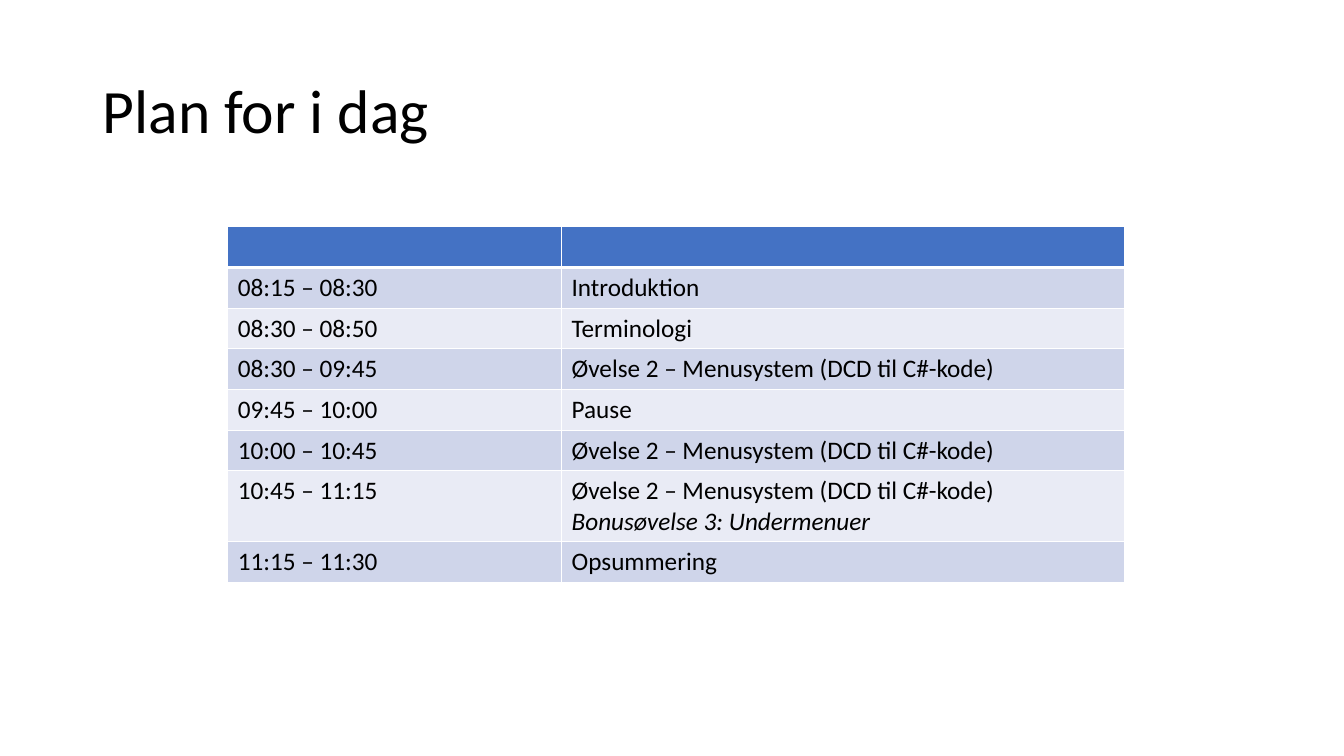
from lxml.etree import SubElement
from pptx import Presentation
from pptx.dml.color import RGBColor
from pptx.enum.text import MSO_ANCHOR
from pptx.oxml.ns import qn
from pptx.util import Inches, Pt

FONT = "Calibri"
BLACK = RGBColor(0x00, 0x00, 0x00)
WHITE = RGBColor(0xFF, 0xFF, 0xFF)
HEADER_BLUE = RGBColor(0x44, 0x72, 0xC4)
BAND_DARK = RGBColor(0xCF, 0xD5, 0xEA)
BAND_LIGHT = RGBColor(0xE9, 0xEB, 0xF5)

TITLE_BOX = (Inches(0.92), Inches(0.4), Inches(11.5), Inches(1.45))
PLAN_BOX = (Inches(2.26), Inches(2.25), Inches(8.89), Inches(3.53))
TIME_SHARE = 3.31 / 8.89
LINE_HEIGHT = Inches(0.3)
EXERCISE = "Øvelse 2 – Menusystem (DCD til C#-kode)"
BONUS = "Bonusøvelse 3: Undermenuer"
PLAN = [
    ("", ""),
    ("08:15 – 08:30", "Introduktion"),
    ("08:30 – 08:50", "Terminologi"),
    ("08:30 – 09:45", EXERCISE),
    ("09:45 – 10:00", "Pause"),
    ("10:00 – 10:45", EXERCISE),
    ("10:45 – 11:15", f"{EXERCISE}\n{BONUS}"),
    ("11:15 – 11:30", "Opsummering"),
]


def style_paragraph(paragraph, size):
    paragraph.font.size = Pt(size)
    for run in paragraph.runs:
        run.font.name = FONT
        run.font.size = Pt(size)
        run.font.color.rgb = BLACK
        run.font.italic = run.text == BONUS


def add_title(slide, box):
    title = slide.shapes.add_textbox(*box).text_frame
    title.word_wrap = True
    title.vertical_anchor = MSO_ANCHOR.MIDDLE
    title.text = "Plan for i dag"
    title.paragraphs[0].line_spacing = 0.9
    style_paragraph(title.paragraphs[0], 44)


def set_borders(cell, row):
    widths = {"L": 1, "R": 1, "T": 3 if row == 1 else 1, "B": 3 if row == 0 else 1}
    properties = cell._tc.get_or_add_tcPr()
    for side, width in widths.items():
        line = SubElement(properties, qn(f"a:ln{side}"), w=str(Pt(width)))
        fill = SubElement(line, qn("a:solidFill"))
        SubElement(fill, qn("a:srgbClr"), val=str(WHITE))


def fill_cell(cell, row, text):
    set_borders(cell, row)
    cell.fill.solid()
    bands = (BAND_LIGHT, BAND_DARK)
    cell.fill.fore_color.rgb = bands[row % 2] if row else HEADER_BLUE
    cell.text_frame.text = text
    for paragraph in cell.text_frame.paragraphs:
        style_paragraph(paragraph, 18)


def add_plan(slide, box):
    left, top, width, height = box
    plan = slide.shapes.add_table(len(PLAN), 2, left, top, width, height).table
    plan.columns[0].width = int(width * TIME_SHARE)
    plan.columns[1].width = width - plan.columns[0].width
    single_row = (height - LINE_HEIGHT) // len(PLAN)
    for row, entry in enumerate(PLAN):
        extra_lines = entry[1].count("\n")
        plan.rows[row].height = single_row + extra_lines * LINE_HEIGHT
        for column, text in enumerate(entry):
            fill_cell(plan.cell(row, column), row, text)


def main():
    deck = Presentation()
    deck.slide_width, deck.slide_height = Inches(13.33), Inches(7.5)
    slide = deck.slides.add_slide(deck.slide_layouts[6])
    add_title(slide, TITLE_BOX)
    add_plan(slide, PLAN_BOX)
    deck.save("out.pptx")


if __name__ == "__main__":
    main()
